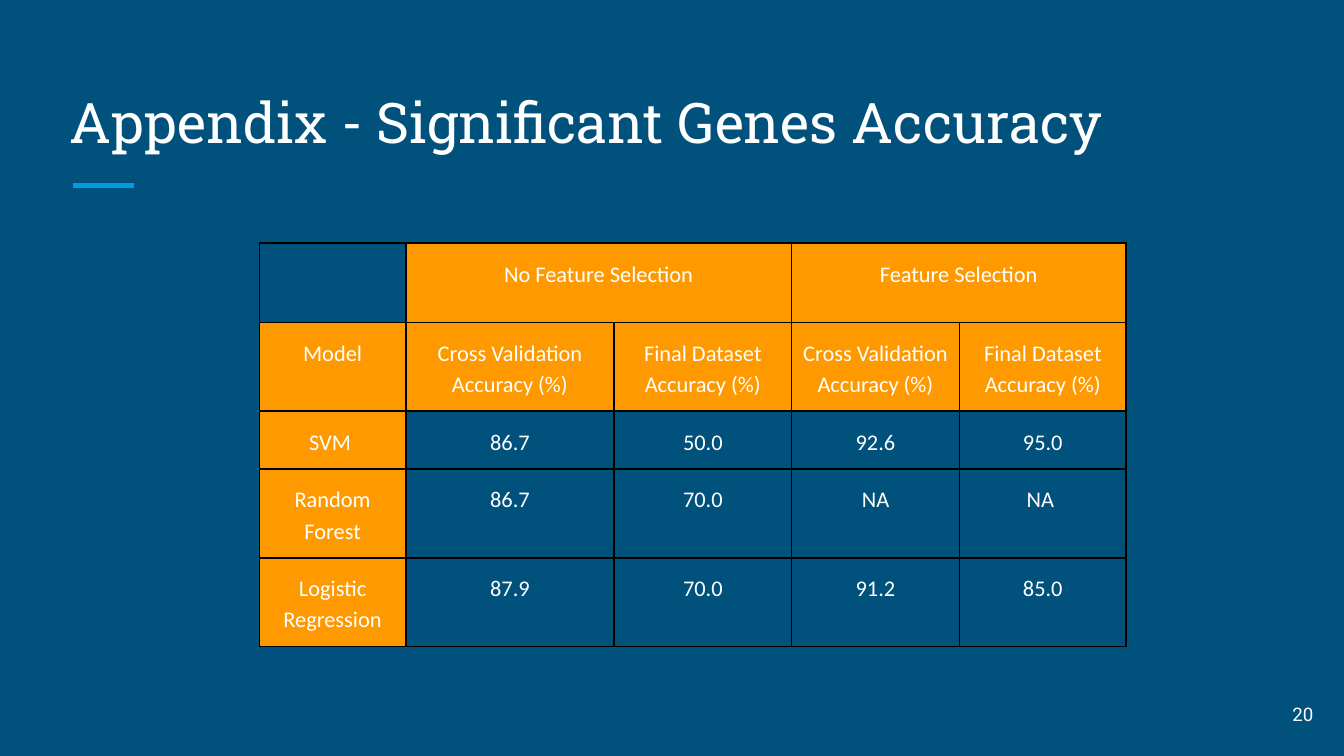
"""Build the appendix slide with the table of model accuracies."""
from dataclasses import dataclass

from lxml import etree
from pptx import Presentation
from pptx.dml.color import RGBColor
from pptx.enum.shapes import MSO_CONNECTOR
from pptx.enum.text import MSO_ANCHOR, PP_ALIGN
from pptx.oxml.ns import qn
from pptx.util import Inches, Pt

STRAIGHT = MSO_CONNECTOR.STRAIGHT
BOTTOM, MIDDLE = MSO_ANCHOR.BOTTOM, MSO_ANCHOR.MIDDLE
LEFT, CENTER, RIGHT = PP_ALIGN.LEFT, PP_ALIGN.CENTER, PP_ALIGN.RIGHT


@dataclass(frozen=True)
class Theme:
    background: RGBColor = RGBColor.from_string("00517C")
    accent: RGBColor = RGBColor.from_string("039BE5")
    header: RGBColor = RGBColor.from_string("FF9900")
    text: RGBColor = RGBColor.from_string("FFFFFF")
    border: str = "000000"
    title_size: Pt = Pt(30)
    table_size: Pt = Pt(12)
    number_size: Pt = Pt(10)


theme = Theme()


def style_text(p, font, size, align):
    p.alignment = align
    for r in p.runs:
        r.font.name = font
        r.font.size = size
        r.font.color.rgb = theme.text


def add_label(s, box, text, font, size, align, anchor):
    tf = s.shapes.add_textbox(*[Inches(v) for v in box]).text_frame
    tf.word_wrap = True
    tf.vertical_anchor = anchor
    tf.margin_left = tf.margin_right = Inches(0.1)
    tf.margin_top = tf.margin_bottom = Inches(0.1)
    tf.text = text
    style_text(tf.paragraphs[0], font, size, align)


prs = Presentation()
prs.slide_width = Inches(10)
prs.slide_height = Inches(10 * 9 / 16)
s = prs.slides.add_slide(prs.slide_layouts[6])
s.background.fill.solid()
s.background.fill.fore_color.rgb = theme.background

rule = s.shapes.add_connector(STRAIGHT, Inches(0.54), Inches(1.38), Inches(1), Inches(1.38))
rule.line.color.rgb = theme.accent
rule.line.width = Pt(3)
etree.SubElement(rule._element.spPr, qn("a:effectLst"))

add_label(s, (0.42, 0.5, 9.15, 0.75), "Appendix - Significant Genes Accuracy",
          "Roboto Slab", theme.title_size, LEFT, BOTTOM)

measures = ["Cross Validation Accuracy (%)", "Final Dataset Accuracy (%)"]
rows = [
    ["", "No Feature Selection", "", "Feature Selection", ""],
    ["Model"] + measures * 2,
    ["SVM ", "86.7", "50.0", "92.6", "95.0"],
    ["Random Forest", "86.7", "70.0", "NA", "NA "],
    ["Logistic Regression", "87.9", "70.0", "91.2", "85.0"],
]
col_widths = [1.09, 1.55, 1.32, 1.25, 1.24]
row_heights = [0.59, 0.59, 0.41, 0.41, 0.41]

frame = s.shapes.add_table(len(rows), len(col_widths), Inches(1.93), Inches(1.81),
                           Inches(3.28), Inches(3.28))
table = frame.table
table.first_row = table.horz_banding = False
for column, width in zip(table.columns, col_widths):
    column.width = Inches(width)
for row, height in zip(table.rows, row_heights):
    row.height = Inches(height)
frame.width = frame.height = Inches(3.28)

for i, values in enumerate(rows):
    for j, value in enumerate(values):
        cell = table.cell(i, j)
        cell.margin_left = cell.margin_right = Inches(0.07)
        cell.margin_top = cell.margin_bottom = Inches(0.1)
        tcPr = cell._tc.get_or_add_tcPr()
        for side in ("a:lnL", "a:lnR", "a:lnT", "a:lnB"):
            ln = etree.SubElement(tcPr, qn(side), w=str(Pt(1)))
            fill = etree.SubElement(ln, qn("a:solidFill"))
            etree.SubElement(fill, qn("a:srgbClr"), val=theme.border)
        if (i < 2 or j == 0) and (i, j) != (0, 0):
            cell.fill.solid()
            cell.fill.fore_color.rgb = theme.header
        else:
            cell.fill.background()
        if value:
            cell.text_frame.text = value
            p = cell.text_frame.paragraphs[0]
            p.line_spacing = 1.15
            style_text(p, "Calibri", theme.table_size, CENTER)

for j in (1, 3):
    table.cell(0, j).merge(table.cell(0, j + 1))

add_label(s, (9.27, 5.1, 0.6, 0.43), "20", "Roboto", theme.number_size, RIGHT, MIDDLE)

prs.save("out.pptx")
